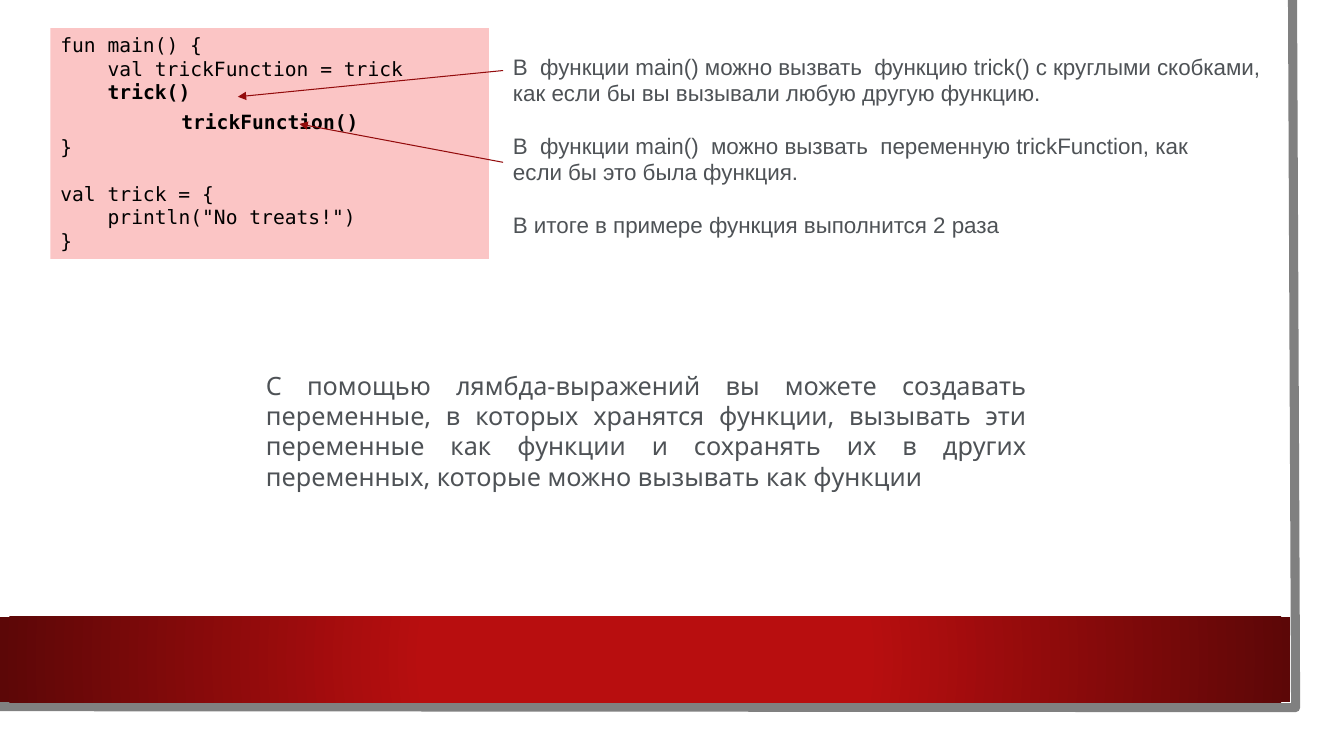
from dataclasses import dataclass

from lxml.etree import SubElement
from pptx import Presentation
from pptx.dml.color import RGBColor
from pptx.enum.shapes import MSO_CONNECTOR, MSO_SHAPE
from pptx.enum.text import MSO_ANCHOR, PP_ALIGN
from pptx.oxml.ns import qn
from pptx.util import Inches, Pt

WIDTH, HEIGHT = Inches(13.33), Inches(7.5)


@dataclass(frozen=True)
class Theme:
    paper: str = "FFFFFF"
    frame: str = "808080"
    band: str = "B80E0F"
    band_edge: str = "5C0707"
    code_panel: str = "FBC5C5"
    code_text: str = "000000"
    body_text: str = "4E5256"
    arrow: str = "930B0C"
    code_font: str = "DejaVu Sans Mono"
    note_font: str = "Arial"
    summary_font: str = "Noto Sans"
    code_size: float = 14
    note_size: float = 16
    summary_size: float = 18
    code_leading: float = 16.85
    note_leading: float = 19
    summary_leading: float = 21.7


THEME = Theme()
CODE_STYLE = (THEME.code_font, THEME.code_size, THEME.code_text, THEME.code_leading)
NOTE_STYLE = (THEME.note_font, THEME.note_size, THEME.body_text, THEME.note_leading)
SUMMARY_STYLE = (THEME.summary_font, THEME.summary_size, THEME.body_text, THEME.summary_leading)

INDENT = Inches(0.47)
CALL_INDENT = Inches(1.2)
BLANK_LINE = Pt(THEME.code_leading)
CODE = [
    ("fun main() {", False, 0, 0),
    ("val trickFunction = trick", False, INDENT, 0),
    ("trick()", True, INDENT, 0),
    ("trickFunction()", True, CALL_INDENT, Pt(4)),
    ("}", False, 0, Pt(1)),
    ("val trick = {", False, 0, BLANK_LINE),
    ("println(\"No treats!\")", False, INDENT, 0),
    ("}", False, 0, 0),
]
NOTES = [
    ((37.43, 6.4, 57.24, 8.4), [
        "В  функции main() можно вызвать  функцию trick() с круглыми скобками, "
        "как если бы вы вызывали любую другую функцию.",
    ]),
    ((37.43, 16.8, 54.09, 15.4), [
        "В  функции main()  можно вызвать  переменную trickFunction, "
        "как если бы это была функция.",
        "В итоге в примере функция выполнится 2 раза",
    ]),
]
SUMMARY = (
    "С помощью лямбда-выражений вы можете создавать переменные, в которых "
    "хранятся функции, вызывать эти переменные как функции и сохранять их "
    "в других переменных, которые можно вызывать как функции"
)
ARROWS = [
    ((37.43, 9.33), (17.7, 12.8)),
    ((37.43, 21.47), (22.28, 16.4)),
]


def point(across, down):
    return round(WIDTH * across / 100), round(HEIGHT * down / 100)


def area(left, top, width, height):
    return *point(left, top), *point(width, height)


def apply(target, formats):
    for attribute, value in formats.items():
        setattr(target, attribute, value)


def add_panel(slide, place, color):
    panel = slide.shapes.add_shape(MSO_SHAPE.RECTANGLE, *area(*place))
    panel.shadow.inherit = False
    panel.line.fill.background()
    panel.fill.solid()
    panel.fill.fore_color.rgb = RGBColor.from_string(color)
    return panel


def add_frame(slide):
    outline = slide.shapes.build_freeform(*point(96.17, 0))
    outline.add_line_segments([point(96.4, 93.6), point(-0.23, 93.47)], close=False)
    frame = outline.convert_to_shape()
    frame.shadow.inherit = False
    frame.fill.background()
    frame.line.color.rgb = RGBColor.from_string(THEME.frame)
    frame.line.width = Pt(6.5)


def add_band(slide):
    band = add_panel(slide, (0, 81.6, 96.02, 11.33), THEME.band)
    band.fill.gradient()
    stops = [(0.34, THEME.band), (1, THEME.band_edge)]
    for stop, (position, color) in zip(band.fill.gradient_stops, stops):
        stop.position = position
        stop.color.rgb = RGBColor.from_string(color)
    gradient = band._element.spPr.find(qn("a:gradFill"))
    gradient.remove(gradient.find(qn("a:lin")))
    radial = SubElement(gradient, qn("a:path"), {"path": "circle"})
    center = dict.fromkeys("ltrb", "50000")
    SubElement(radial, qn("a:fillToRect"), center)


def write(frame, lines, style, align=PP_ALIGN.LEFT):
    font, size, color, leading = style
    apply(frame, {"word_wrap": True, "vertical_anchor": MSO_ANCHOR.TOP})
    for number, (text, bold, indent, gap) in enumerate(lines):
        paragraph = frame.add_paragraph() if number else frame.paragraphs[0]
        apply(paragraph, {
            "alignment": align,
            "line_spacing": Pt(leading),
            "space_before": gap,
        })
        if indent:
            properties = paragraph._p.get_or_add_pPr()
            properties.set("marL", str(indent))
            properties.set("indent", "0")
        run = paragraph.add_run()
        run.text = text
        apply(run.font, {"name": font, "size": Pt(size), "bold": bold})
        run.font.color.rgb = RGBColor.from_string(color)


def add_prose(slide, place, paragraphs, style, align=PP_ALIGN.LEFT):
    prose = slide.shapes.add_textbox(*area(*place))
    gap = Pt(style[-1])
    lines = [(text, False, 0, gap if number else 0) for number, text in enumerate(paragraphs)]
    write(prose.text_frame, lines, style, align)


def add_arrow(slide, start, end):
    arrow = slide.shapes.add_connector(MSO_CONNECTOR.STRAIGHT, *point(*start), *point(*end))
    arrow.line.color.rgb = RGBColor.from_string(THEME.arrow)
    arrow.line.width = Pt(0.75)
    SubElement(arrow.line._get_or_add_ln(), qn("a:tailEnd"), {"type": "triangle"})
    SubElement(arrow._element.spPr, qn("a:effectLst"))


def main():
    deck = Presentation()
    apply(deck, {"slide_width": WIDTH, "slide_height": HEIGHT})
    slide = deck.slides.add_slide(deck.slide_layouts[6])

    add_panel(slide, (0, 0, 98.27, 96.93), THEME.paper)
    add_frame(slide)
    add_band(slide)

    listing = add_panel(slide, (3.75, 3.73, 32.63, 30.53), THEME.code_panel)
    write(listing.text_frame, CODE, CODE_STYLE)
    for place, paragraphs in NOTES:
        add_prose(slide, place, paragraphs, NOTE_STYLE)
    for start, end in ARROWS:
        add_arrow(slide, start, end)
    add_prose(slide, (19.05, 48.27, 58.06, 17.47), [SUMMARY], SUMMARY_STYLE, PP_ALIGN.JUSTIFY)

    deck.save("out.pptx")


if __name__ == "__main__":
    main()
